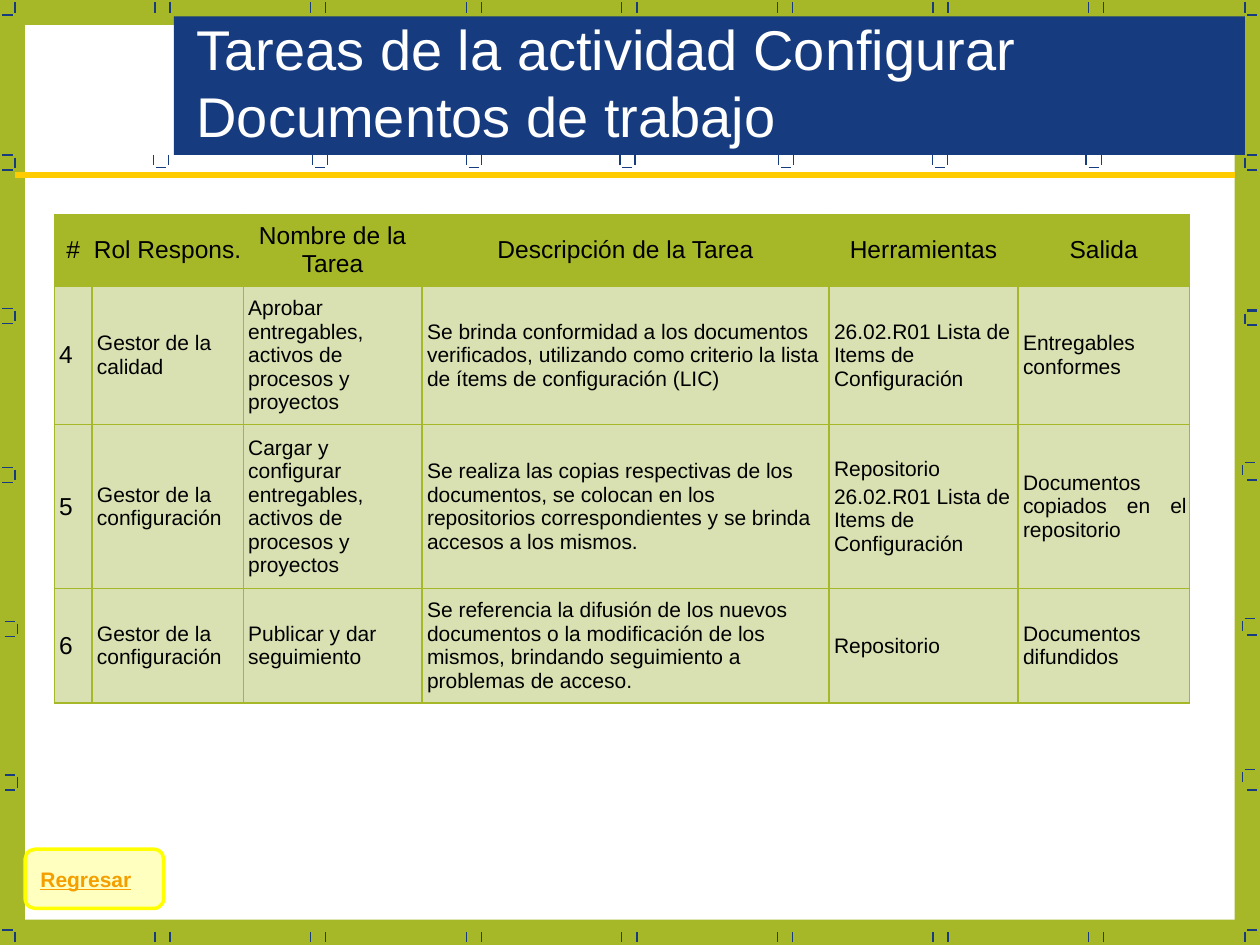
from dataclasses import dataclass

from lxml import etree
from pptx import Presentation
from pptx import util as u
from pptx.dml import color
from pptx.enum import shapes, text
from pptx.oxml import ns


@dataclass(frozen=True)
class Theme:
    """Colours, font and type sizes."""
    green: str = "A6B727"
    pale: str = "D9E0B2"
    navy: str = "163B7F"
    gold: str = "FFCC00"
    yellow: str = "FFFF00"
    orange: str = "F59E00"
    white: str = "FFFFFF"
    black: str = "000000"
    font: str = "Arial"
    title: int = 32
    head: int = 14
    body: int = 12


T = Theme()
AL = text.PP_ALIGN
COLS = [0.3, 1.2, 1.42, 3.23, 1.5, 1.36]
ROWS = [0.57, 1.1, 1.3, 0.91]
LIST = "26.02.R01 Lista de Items de Configuración"
TASKS = [
    ["#", "Rol Respons.", "Nombre de la Tarea", "Descripción de la Tarea", "Herramientas", "Salida"],
    ["4", "Gestor de la calidad", "Aprobar entregables, activos de procesos y proyectos",
     "Se brinda conformidad a los documentos verificados, utilizando como criterio "
     "la lista de ítems de configuración (LIC)", LIST, "Entregables conformes"],
    ["5", "Gestor de la configuración",
     "Cargar y configurar entregables, activos de procesos y proyectos",
     "Se realiza las copias respectivas de los documentos, se colocan en los "
     "repositorios correspondientes y se brinda accesos a los mismos.",
     "Repositorio\n" + LIST, "Documentos copiados en el repositorio"],
    ["6", "Gestor de la configuración", "Publicar y dar seguimiento",
     "Se referencia la difusión de los nuevos documentos o la modificación de los "
     "mismos, brindando seguimiento a problemas de acceso.",
     "Repositorio", "Documentos difundidos"],
]


def rgb(value):
    """Turn a hex string into a colour."""
    return color.RGBColor.from_string(value)


def write(tf, words, size, ink, align=AL.LEFT, before=0, bold=False, underline=False):
    """Fill a text frame, one paragraph a line."""
    for i, line in enumerate(words.split("\n")):
        p = tf.add_paragraph() if i else tf.paragraphs[0]
        p.alignment, p.space_before = align, u.Pt(before)
        r = p.add_run()
        r.text = line
        f = r.font
        f.name, f.size, f.bold, f.underline = T.font, u.Pt(size), bold, underline
        f.color.rgb = rgb(ink)


def box(s, kind, at, fill):
    """Add a filled shape without outline."""
    sp = s.shapes.add_shape(kind, *map(u.Inches, at))
    sp.shadow.inherit = False
    sp.fill.solid()
    sp.fill.fore_color.rgb = rgb(fill)
    sp.line.fill.background()
    return sp


def line(s, x1, y1, x2, y2, ink=T.navy, width=0.75):
    """Add a straight line."""
    c = s.shapes.add_connector(shapes.MSO_CONNECTOR.STRAIGHT, *map(u.Inches, (x1, y1, x2, y2)))
    c.line.color.rgb, c.line.width = rgb(ink), u.Pt(width)
    etree.SubElement(c.element.spPr, ns.qn("a:effectLst"))


def across(s, x, *ys):
    """Add short horizontal ticks starting at x."""
    for y in ys:
        line(s, x, y, x + 0.08, y)


def down(s, y, *xs):
    """Add short vertical ticks starting at y."""
    for x in xs:
        line(s, x, y, x, y + 0.08)


def frame(s):
    """Draw the page, its border ticks and the title band."""
    box(s, shapes.MSO_SHAPE.RECTANGLE, (0.2, 0.2, 9.6, 7.1), T.white)
    for y in (0.02, 7.4):
        down(s, y, 0.12, 9.88)
        for i in range(7):
            x = 1.23 + 1.235 * i
            down(s, y, x, x + 0.12)
    for x in (0.02, 9.9):
        across(s, x, 0.12, 7.38)
    across(s, 9.9, 1.35, 2.46, 2.58, 3.81, 5.04, 6.27)
    box(s, shapes.MSO_SHAPE.RECTANGLE, (1.38, 0.13, 8.5, 1.1), T.navy)
    for x, y in ((0.12, 1.23), (0.12, 2.45), (0.12, 3.71), (0.14, 4.93), (0.14, 6.15)):
        across(s, x - 0.1, y, y + 0.12)
        down(s, y + 0.02, x)
    for x, y in ((9.88, 1.23), (9.88, 2.47), (9.86, 3.67), (9.86, 4.91), (9.86, 6.11)):
        across(s, x + 0.02, y)
        down(s, y + 0.02, x)
    for x in (1.22, 2.48, 3.7, 4.92, 6.18, 7.4, 8.62):
        down(s, 1.23, x, x + 0.12)
        across(s, x + 0.02, 1.33)


def heading(s, words):
    """Place the title over the band, with its rule."""
    sp = s.shapes.title
    sp.left, sp.top, sp.width, sp.height = map(u.Inches, (1.46, 0.06, 8.35, 1.17))
    tf = sp.text_frame
    tf.auto_size, tf.word_wrap = text.MSO_AUTO_SIZE.NONE, True
    tf.vertical_anchor = text.MSO_ANCHOR.MIDDLE
    write(tf, words, T.title, T.white)
    sp.element.getparent().append(sp.element)
    line(s, 0.12, 1.39, 9.8, 1.39, T.gold, 3)


def style_cell(cell, fill, left, right):
    """Set borders, fill and margins of a cell."""
    pr = cell._tc.get_or_add_tcPr()
    for side in ("lnL", "lnR", "lnT", "lnB"):
        ln = etree.SubElement(pr, ns.qn("a:" + side), w=str(u.Pt(0.79)))
        solid = etree.SubElement(ln, ns.qn("a:solidFill"))
        etree.SubElement(solid, ns.qn("a:srgbClr"), val=T.green)
    cell.fill.solid()
    cell.fill.fore_color.rgb = rgb(fill)
    cell.vertical_anchor = text.MSO_ANCHOR.MIDDLE
    cell.margin_left, cell.margin_right = u.Inches(left), u.Inches(right)
    cell.margin_top = cell.margin_bottom = u.Inches(0.05)


def task_table(s):
    """Add the table of tasks."""
    at = map(u.Inches, (0.43, 1.7, sum(COLS), sum(ROWS)))
    tbl = s.shapes.add_table(len(ROWS), len(COLS), *at).table
    for col, width in zip(tbl.columns, COLS):
        col.width = u.Inches(width)
    for i, (row, height) in enumerate(zip(tbl.rows, ROWS)):
        row.height = u.Inches(height)
        for j, cell in enumerate(row.cells):
            if i == 0:
                style_cell(cell, T.green, 0, 0)
                align = AL.CENTER
            else:
                style_cell(cell, T.pale, 0.04, 0.02)
                align = AL.JUSTIFY if j == len(COLS) - 1 else AL.LEFT
            size = T.head if i == 0 or j == 0 else T.body
            write(cell.text_frame, TASKS[i][j], size, T.black, align, before=0.2 * size)


def back_button(s, words):
    """Add the translucent return button."""
    sp = box(s, shapes.MSO_SHAPE.FLOWCHART_ALTERNATE_PROCESS, (0.2, 6.74, 1.1, 0.47), T.yellow)
    clr = sp.element.spPr.find(ns.qn("a:solidFill"))[0]
    etree.SubElement(clr, ns.qn("a:alpha"), val="25000")
    sp.line.color.rgb, sp.line.width = rgb(T.yellow), u.Pt(2)
    tf = sp.text_frame
    tf.word_wrap, tf.vertical_anchor = True, text.MSO_ANCHOR.MIDDLE
    write(tf, words, T.body, T.orange, bold=True, underline=True)


def main():
    """Build and save the slide."""
    prs = Presentation()
    prs.slide_width, prs.slide_height = u.Inches(10), u.Inches(7.5)
    s = prs.slides.add_slide(prs.slide_layouts[5])
    s.background.fill.solid()
    s.background.fill.fore_color.rgb = rgb(T.green)
    frame(s)
    heading(s, "Tareas de la actividad Configurar Documentos de trabajo")
    task_table(s)
    back_button(s, "Regresar")
    prs.save("out.pptx")


main()
